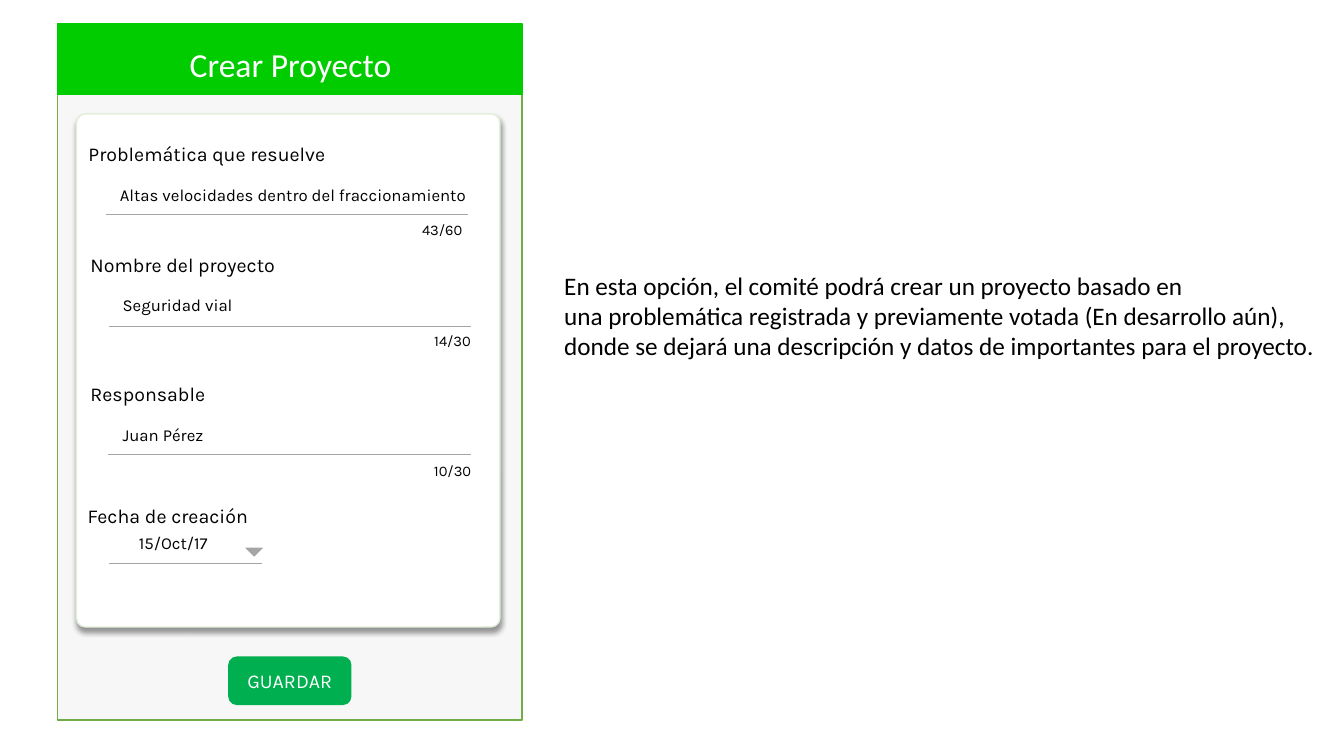
from dataclasses import dataclass
from typing import Optional

import pptx
import pptx.dml.color
import pptx.enum.shapes
import pptx.enum.text
import pptx.oxml
import pptx.oxml.ns
import pptx.util

Cm = pptx.util.Cm
Pt = pptx.util.Pt
RGBColor = pptx.dml.color.RGBColor
Shape = pptx.enum.shapes.MSO_SHAPE
Align = pptx.enum.text.PP_ALIGN
Anchor = pptx.enum.text.MSO_ANCHOR

WHITE = RGBColor(0xFF, 0xFF, 0xFF)
BLACK = RGBColor(0x00, 0x00, 0x00)
SCREEN_GRAY = RGBColor(0xF7, 0xF7, 0xF7)
SCREEN_EDGE = RGBColor(0x70, 0xAD, 0x47)
HEADER_GREEN = RGBColor(0x00, 0xCC, 0x00)
CARD_EDGE = RGBColor(0xE2, 0xF0, 0xD9)
BUTTON_GREEN = RGBColor(0x00, 0xB0, 0x50)
RULE_GRAY = RGBColor(0xA5, 0xA5, 0xA5)

DESCRIPTION = (
    "En esta opción, el comité podrá crear un proyecto basado en\n"
    "una problemática registrada y previamente votada (En desarrollo aún),\n"
    "donde se dejará una descripción y datos de importantes para el proyecto."
)
CARD_SHADOW = (
    f'<a:effectLst {pptx.oxml.ns.nsdecls("a")}>'
    '<a:outerShdw blurRad="50800" dist="38100" dir="5400000" algn="t" rotWithShape="0">'
    '<a:srgbClr val="000000"><a:alpha val="40000"/></a:srgbClr>'
    "</a:outerShdw></a:effectLst>"
)


@dataclass(frozen=True)
class Box:
    left: float
    top: float
    width: float
    height: float

    def emu(self) -> tuple:
        return Cm(self.left), Cm(self.top), Cm(self.width), Cm(self.height)


@dataclass(frozen=True)
class Field:
    label: str
    label_left: float
    label_top: float
    value: str
    value_box: Box
    rule_left: float
    rule_right: float
    rule_top: float
    value_align: Align = Align.LEFT
    count: str = ""
    count_box: Optional[Box] = None


FIELDS = (
    Field("Problemática que resuelve", 1.98, 3.45,
          "Altas velocidades dentro del fraccionamiento", Box(2.77, 4.52, 9.88, 0.76),
          2.67, 11.79, 5.41, count="43/60", count_box=Box(10.13, 5.44, 2.03, 0.71)),
    Field("Nombre del proyecto", 2.03, 6.25,
          "Seguridad vial", Box(2.84, 7.29, 9.88, 0.76),
          2.74, 11.86, 8.23, count="14/30", count_box=Box(10.59, 8.23, 1.63, 0.71)),
    Field("Responsable", 2.03, 9.5,
          "Juan Pérez", Box(2.84, 10.57, 9.88, 0.76),
          2.72, 11.86, 11.46, count="10/30", count_box=Box(10.59, 11.51, 1.63, 0.71)),
    Field("Fecha de creación", 1.96, 12.57,
          "15/Oct/17", Box(2.95, 13.31, 2.84, 0.76),
          2.74, 6.6, 14.2, value_align=Align.CENTER),
)


def write(shape, text: str, *, size: float, font: str = "Karla", color: RGBColor = BLACK,
          align: Align = Align.LEFT, anchor: Anchor = Anchor.TOP,
          wrap: bool = True, grow: bool = True) -> None:
    frame = shape.text_frame
    frame.text = text
    frame.word_wrap = wrap
    frame.vertical_anchor = anchor
    if grow:
        frame.auto_size = pptx.enum.text.MSO_AUTO_SIZE.SHAPE_TO_FIT_TEXT
    for paragraph in frame.paragraphs:
        paragraph.alignment = align
        for run in paragraph.runs:
            run.font.name = font
            run.font.size = Pt(size)
            run.font.color.rgb = color


def add_block(slide, kind: Shape, box: Box, fill: RGBColor, edge: RGBColor,
              edge_width: float = 1):
    block = slide.shapes.add_shape(kind, *box.emu())
    block.shadow.inherit = False
    block.fill.solid()
    block.fill.fore_color.rgb = fill
    block.line.color.rgb = edge
    block.line.width = Pt(edge_width)
    return block


def add_text(slide, box: Box, text: str, **style) -> None:
    write(slide.shapes.add_textbox(*box.emu()), text, **style)


def add_rule(slide, left: float, right: float, top: float) -> None:
    rule = slide.shapes.add_connector(
        pptx.enum.shapes.MSO_CONNECTOR.STRAIGHT, Cm(left), Cm(top), Cm(right), Cm(top))
    rule.line.color.rgb = RULE_GRAY
    rule.line.width = Pt(0.5)
    rule.element.spPr.append(
        pptx.oxml.parse_xml(f'<a:effectLst {pptx.oxml.ns.nsdecls("a")}/>'))


def add_field(slide, field: Field) -> None:
    add_text(slide, Box(field.label_left, field.label_top, 7.09, 0.86), field.label, size=14)
    add_text(slide, field.value_box, field.value, size=12,
             align=field.value_align, anchor=Anchor.MIDDLE)
    add_rule(slide, field.rule_left, field.rule_right, field.rule_top)
    if field.count_box:
        add_text(slide, field.count_box, field.count, size=10.5,
                 align=Align.CENTER, anchor=Anchor.MIDDLE)


def add_title(slide, box: Box, text: str) -> None:
    title = slide.shapes.title
    title.left, title.top, title.width, title.height = box.emu()
    write(title, text, size=24, font="Calibri", color=WHITE, align=Align.CENTER, wrap=False)
    title.element.getparent().append(title.element)


def add_card(slide) -> None:
    card = add_block(slide, Shape.ROUNDED_RECTANGLE, Box(1.93, 2.87, 10.67, 12.93),
                     WHITE, CARD_EDGE)
    card.adjustments[0] = 0.021
    properties = card.element.spPr
    properties.remove(properties.find(pptx.oxml.ns.qn("a:effectLst")))
    properties.append(pptx.oxml.parse_xml(CARD_SHADOW))


def main() -> None:
    deck = pptx.Presentation()
    deck.slide_width, deck.slide_height = Cm(33.87), Cm(19.05)
    slide = deck.slides.add_slide(deck.slide_layouts.get_by_name("Title Only"))

    add_block(slide, Shape.RECTANGLE, Box(1.45, 0.61, 11.71, 17.53), SCREEN_GRAY, SCREEN_EDGE)
    add_block(slide, Shape.RECTANGLE, Box(1.45, 0.61, 11.71, 1.78), HEADER_GREEN, HEADER_GREEN)
    add_title(slide, Box(4.5, 0.97, 5.64, 1.27), "Crear Proyecto")
    add_card(slide)
    for field in FIELDS:
        add_field(slide, field)

    date_arrow = add_block(slide, Shape.ISOSCELES_TRIANGLE, Box(6.1, 13.77, 0.61, 0.3),
                           RULE_GRAY, WHITE, 1.5)
    date_arrow.rotation = 180
    save_button = add_block(slide, Shape.ROUNDED_RECTANGLE, Box(5.77, 16.56, 3.07, 1.19),
                            BUTTON_GREEN, BUTTON_GREEN)
    write(save_button, "GUARDAR", size=14, color=WHITE, align=Align.CENTER,
          anchor=Anchor.MIDDLE, grow=False)
    add_text(slide, Box(13.97, 6.68, 19.63, 2.57), DESCRIPTION, size=18, font="Calibri",
             wrap=False)
    deck.save("out.pptx")


if __name__ == "__main__":
    main()
